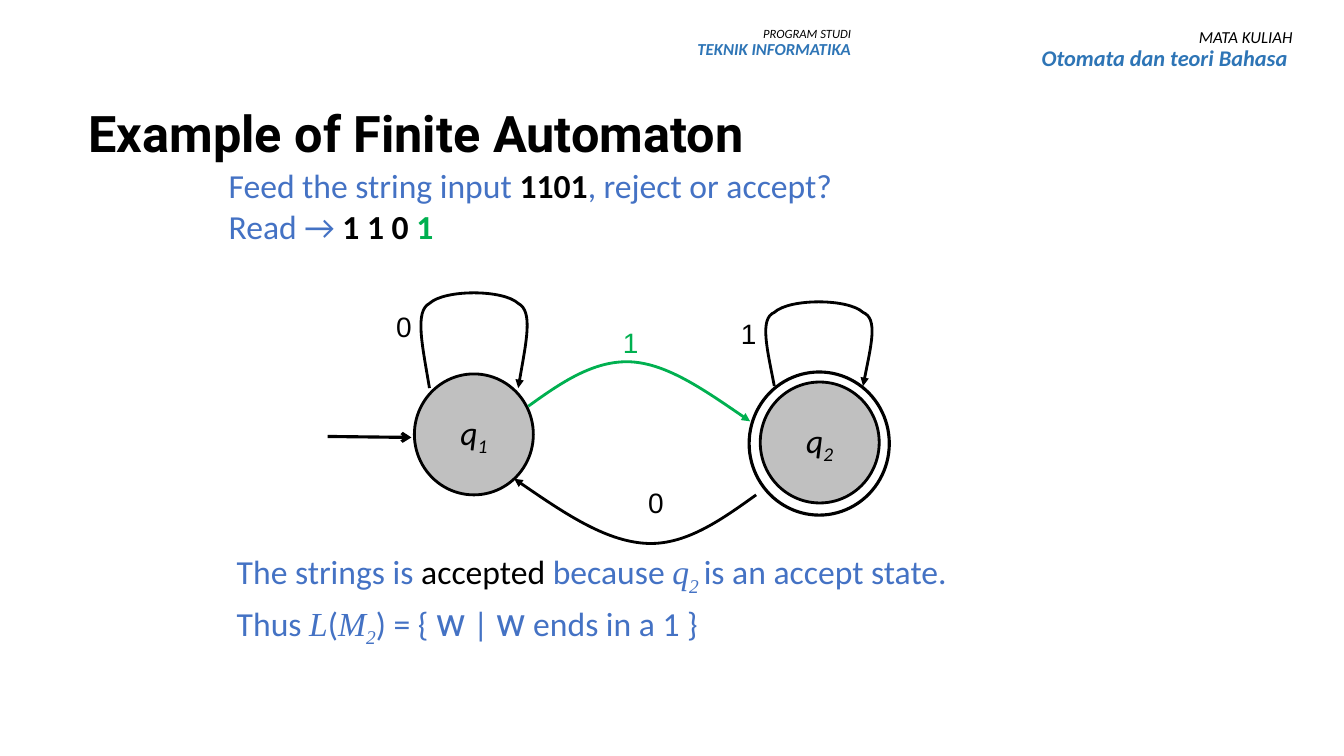
from dataclasses import dataclass, replace
from typing import Optional

from lxml.etree import SubElement
from pptx import Presentation
from pptx.dml.color import RGBColor
from pptx.enum.shapes import MSO_CONNECTOR as Link, MSO_SHAPE as Preset
from pptx.enum.text import MSO_ANCHOR as Anchor, MSO_AUTO_SIZE as Fit, PP_ALIGN as Align
from pptx.oxml.ns import qn
from pptx.util import Inches, Pt

BLACK, BLUE, GREEN, GREY, WHITE = "000000", "4472C4", "00B050", "C0C0C0", "FFFFFF"
HEAD_BLUE = "2E75B6"
Point = tuple[float, float]


@dataclass(frozen=True)
class Run:
    text: str
    size: float = 24
    hue: str = BLUE
    face: str = "Calibri"
    bold: bool = False
    italic: bool = False
    sub: bool = False


@dataclass(frozen=True)
class Box:
    left: float
    top: float
    width: float
    height: float
    lines: list[list[Run]]
    align: Align = Align.LEFT
    anchor: Anchor = Anchor.TOP
    space: Optional[float] = None
    wrap: bool = True
    grow: bool = False


@dataclass(frozen=True)
class State:
    left: float
    top: float
    digit: str


@dataclass(frozen=True)
class Curve:
    """A start point, then three points for each cubic segment."""
    points: list[Point]
    hue: str = BLACK


def color(code: str) -> RGBColor:
    return RGBColor.from_string(code)


def add_run(para, item: Run) -> None:
    run = para.add_run()
    run.text = item.text
    font = run.font
    font.size, font.name = Pt(item.size), item.face
    font.bold, font.italic = item.bold, item.italic
    font.color.rgb = color(item.hue)
    if item.sub:
        run._r.get_or_add_rPr().set("baseline", "-25000")


def fill_text(frame, lines: list[list[Run]], align: Align, space: Optional[float] = None) -> None:
    for num, line in enumerate(lines):
        para = frame.add_paragraph() if num else frame.paragraphs[0]
        para.alignment = align
        if space:
            para.line_spacing = space
        for item in line:
            add_run(para, item)


def draw_box(shapes, box: Box) -> None:
    shape = shapes.add_textbox(*map(Inches, (box.left, box.top, box.width, box.height)))
    frame = shape.text_frame
    frame.word_wrap = box.wrap
    frame.auto_size = Fit.SHAPE_TO_FIT_TEXT if box.grow else Fit.NONE
    frame.vertical_anchor = box.anchor
    fill_text(frame, box.lines, box.align, box.space)


def draw_disc(shapes, left: float, top: float, width: float, height: float,
              hue: str, weight: float):
    disc = shapes.add_shape(Preset.OVAL, *map(Inches, (left, top, width, height)))
    disc.shadow.inherit = False
    disc.fill.solid()
    disc.fill.fore_color.rgb = color(hue)
    disc.line.color.rgb = color(BLACK)
    disc.line.width = Pt(weight)
    return disc


def draw_state(shapes, state: State) -> None:
    frame = draw_disc(shapes, state.left, state.top, 1.18, 1.2, GREY, 2).text_frame
    frame.word_wrap = False
    frame.vertical_anchor = Anchor.MIDDLE
    name = Run("q", hue=BLACK, italic=True)
    fill_text(frame, [[name, replace(name, text=state.digit, sub=True)]], Align.CENTER)


def style_line(line, hue: str, weight: float, head: str) -> None:
    line.color.rgb = color(hue)
    line.width = Pt(weight)
    SubElement(line._get_or_add_ln(), qn("a:tailEnd"), type=head)


def draw_curve(shapes, curve: Curve) -> None:
    first, *rest = [(Inches(x), Inches(y)) for x, y in curve.points]
    pen = shapes.build_freeform(*first)
    pen.add_line_segments(rest, close=False)
    shape = pen.convert_to_shape()
    shape.shadow.inherit = False
    shape.fill.background()
    style_line(shape.line, curve.hue, 2, "triangle")
    # Turn every three straight steps into one cubic segment
    steps = list(shape._element.iter(qn("a:lnTo")))
    track = steps[0].getparent()
    for start in range(0, len(steps), 3):
        bend = SubElement(track, qn("a:cubicBezTo"))
        for step in steps[start:start + 3]:
            bend.append(step[0])
            track.remove(step)


def draw_entry(shapes, start: Point, end: Point) -> None:
    link = shapes.add_connector(Link.STRAIGHT, *map(Inches, start + end))
    style_line(link.line, BLACK, 2.25, "arrow")
    SubElement(link._element.spPr, qn("a:effectLst"))


def loop(left: float, top: float, drop: float) -> Curve:
    """Self-loop whose ends sit drop inches below its top."""
    right, low, high = left + 1.18, top + drop, top + 0.14
    inner, outer = left + 0.15, right - 0.15
    mid = (low + high) / 2
    return Curve([(inner, low), (left + 0.08, mid), (left, mid - 0.35 * drop), (inner, high),
                  (left + 0.3, top), (right - 0.3, top), (outer, high),
                  (right, mid - 0.35 * drop), (right - 0.08, mid), (outer, low)])


def label(left: float, top: float, text: str, hue: str = BLACK, width: float = 0.36) -> Box:
    item = Run(text, 20, hue, "Arial")
    return Box(left, top, width, 0.44, [[item]], wrap=width > 0.5, grow=True)


def header(left: float, top: float, width: float, height: float,
           small: Run, large: Run) -> Box:
    lines = [[replace(small, hue=BLACK, italic=True)],
             [replace(large, hue=HEAD_BLUE, bold=True, italic=True)]]
    return Box(left, top, width, height, lines, Align.RIGHT, space=0.9)


def math(text: str, sub: bool = False) -> Run:
    return Run(text, face="Times New Roman", italic=True, sub=sub)


WORD = Run("w", 28, face="Roboto")
BOXES = [
    Box(0.78, 0.65, 6.97, 1.41,
        [[Run("Example of Finite Automaton", 36, BLACK, "Roboto", bold=True)]],
        anchor=Anchor.MIDDLE, space=0.9),
    Box(2.17, 1.59, 8.83, 0.91, [
        [Run("Feed the string input "), Run("1101", hue=BLACK, bold=True),
         Run(", reject or accept?")],
        [Run("Read → "), Run("1 1 0 ", hue=BLACK, bold=True), Run("1", hue=GREEN, bold=True)],
    ], grow=True),
    Box(2.25, 5.42, 8.83, 0.98, [
        [Run("The strings is "), Run("accepted ", hue=BLACK), Run("because "),
         math("q"), math("2 ", True), Run("is an accept state.")],
        [Run("Thus "), math("L"), Run("("), math("M"), math("2", True), Run(") = { "),
         WORD, Run(" | "), WORD, Run(" ends in a 1 }")],
    ], grow=True),
    label(3.83, 3.02, "0", width=0.58),
    label(6.08, 3.18, "1", GREEN),
    label(6.33, 4.77, "0"),
    label(7.25, 3.09, "1", width=0.58),
    header(6.03, 0.22, 2.51, 0.56, Run("PROGRAM STUDI", 9), Run("TEKNIK INFORMATIKA", 12)),
    header(9.16, 0.24, 3.76, 0.74, Run("MATA KULIAH", 12),
           Run("Otomata dan teori Bahasa ", 16)),
]
STATES = [State(7.54, 3.79, "2"), State(4.11, 3.71, "1")]
CURVES = [
    loop(4.11, 2.87, 0.98),
    loop(7.53, 2.96, 0.87),
    Curve([(5.24, 4.03), (5.56, 3.8), (5.89, 3.57), (6.26, 3.59),
           (6.62, 3.61), (7.03, 3.9), (7.44, 4.18)], GREEN),
    Curve([(7.5, 4.91), (7.15, 5.16), (6.79, 5.42), (6.39, 5.39),
           (5.99, 5.36), (5.55, 5.06), (5.1, 4.75)]),
]


def main() -> None:
    deck = Presentation()
    deck.slide_width, deck.slide_height = Inches(13.33), Inches(7.5)
    shapes = deck.slides.add_slide(deck.slide_layouts[6]).shapes
    draw_disc(shapes, 7.43, 3.69, 1.39, 1.42, WHITE, 2.25)
    for state in STATES:
        draw_state(shapes, state)
    for curve in CURVES:
        draw_curve(shapes, curve)
    draw_entry(shapes, (3.25, 4.33), (4.08, 4.34))
    for box in BOXES:
        draw_box(shapes, box)
    deck.save("out.pptx")


if __name__ == "__main__":
    main()
